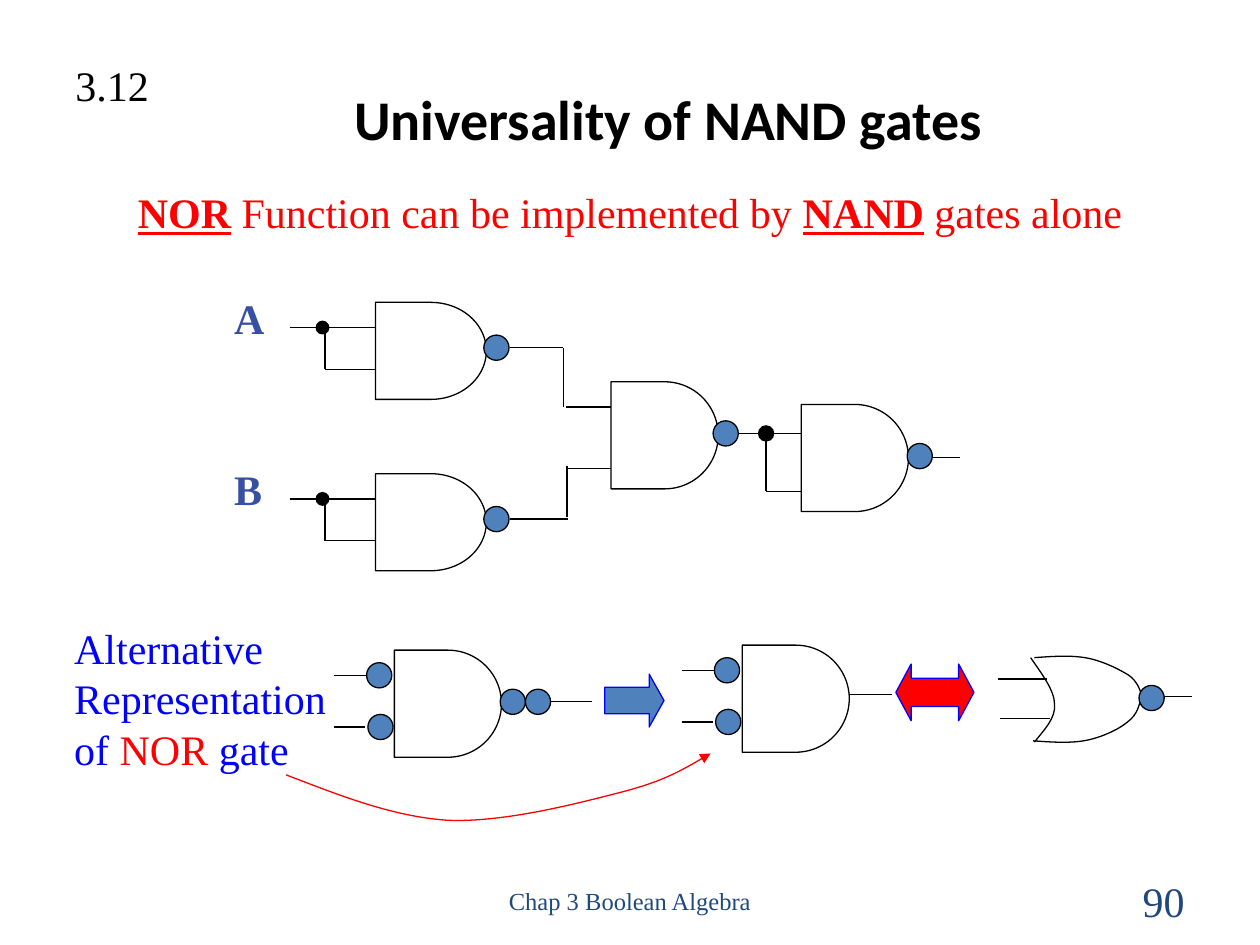
from lxml.etree import SubElement
from pptx import Presentation
from pptx.dml.color import RGBColor
from pptx.enum.shapes import MSO_CONNECTOR, MSO_SHAPE
from pptx.enum.text import MSO_ANCHOR, MSO_AUTO_SIZE, PP_ALIGN
from pptx.oxml.ns import qn
from pptx.util import Cm, Pt

BLACK, RED, BLUE, FILL, NAVY, LABEL = (
    "000000", "FF0000", "0000FF", "4F81BD", "1F497D", "3750A1")
SERIF = "Times New Roman"
BUBBLE = 0.2
GATE = 0.85

# Coordinates are in inches; unit() turns them into lengths.
TITLE = ("Universality of NAND gates", (1.06, 0.6, 8.49, 0.68))
STRONG = {"bold": True, "underline": True}
# box, runs of (text, colour, font values), paragraph values, frame values
FIT = {"auto_size": MSO_AUTO_SIZE.SHAPE_TO_FIT_TEXT}
TAG = {**FIT, "word_wrap": False}
MIDDLE = {"vertical_anchor": MSO_ANCHOR.MIDDLE}
TEXTS = [
    ((3.42, 6.95, 3.16, 0.4), [("Chap 3 Boolean Algebra", NAVY, {"size": Pt(14)})],
     {"alignment": PP_ALIGN.CENTER}, MIDDLE),
    ((7.17, 6.95, 2.33, 0.4), [("90", NAVY, {})],
     {"alignment": PP_ALIGN.RIGHT}, MIDDLE),
    ((0.5, 0.42, 0.78, 0.5), [("3.12", BLACK, {})], {}, TAG),
    ((0.49, 4.89, 2.32, 1.3),
     [("Alternative Representation of ", BLUE, {}), ("NOR", RED, {}),
      (" gate", BLUE, {})], {}, FIT),
    ((0.36, 1.51, 9.28, 0.42),
     [("NOR", RED, STRONG), (" Function can be implemented by ", RED, {}),
      ("NAND", RED, STRONG), (" gates alone", RED, {})],
     {"alignment": PP_ALIGN.CENTER, "line_spacing": 0.8}, FIT),
    ((1.76, 2.27, 0.44, 0.5), [("A", LABEL, {"bold": True})], {}, TAG),
    ((1.76, 3.63, 0.42, 0.5), [("B", LABEL, {"bold": True})], {}, TAG),
]
INVERTER_TOPS = [2.4, 3.76]
INVERTED_INPUT_GATES = [(3.13, 5.16), (5.89, 5.12)]
NAND_GATES = [(4.85, 3.03), (6.36, 3.21)]
WIRES = [
    (4.05, 2.76, 4.47, 2.76), (4.47, 2.76, 4.47, 3.23), (4.49, 3.23, 4.85, 3.23),
    (4.05, 4.12, 4.51, 4.12), (4.5, 3.7, 4.5, 4.1), (4.49, 3.72, 4.85, 3.72),
    (5.85, 3.44, 6.36, 3.44), (6.08, 3.47, 6.08, 3.9), (6.08, 3.9, 6.36, 3.9),
    (7.37, 3.63, 7.62, 3.63),
    (4.37, 5.57, 4.7, 5.57), (6.74, 5.51, 7.08, 5.51),
    (7.94, 5.7, 8.33, 5.7), (7.92, 5.39, 8.31, 5.39), (9.05, 5.53, 9.46, 5.53),
]
BUBBLES = [(5.66, 3.34), (7.2, 3.52), (3.97, 5.47), (4.17, 5.47), (9.04, 5.44)]
ARROWS = [
    (MSO_SHAPE.LEFT_RIGHT_ARROW, (7.11, 5.27, 0.62, 0.45), RED, (0.5, 0.27)),
    (MSO_SHAPE.RIGHT_ARROW, (4.8, 5.35, 0.47, 0.42), FILL, (0.5, 0.28)),
]
# Start point, then two control points and an end point for each Bezier piece
NOR_CURVES = [
    [(8.21, 5.22), (8.35, 5.21), (8.49, 5.2), (8.61, 5.22),
     (8.74, 5.24), (8.88, 5.31), (8.96, 5.36),
     (9.03, 5.41), (9.05, 5.48), (9.07, 5.54)],
    [(8.2, 5.88), (8.34, 5.89), (8.48, 5.9), (8.6, 5.88),
     (8.73, 5.86), (8.88, 5.79), (8.95, 5.73),
     (9.03, 5.67), (9.04, 5.6), (9.06, 5.53)],
    [(8.18, 5.22), (8.27, 5.35), (8.37, 5.48), (8.37, 5.59),
     (8.38, 5.7), (8.29, 5.79), (8.21, 5.89)],
]
POINTER = [(2.27, 6.15), (2.69, 6.31), (3.11, 6.48), (3.55, 6.51),
           (3.99, 6.53), (4.57, 6.38), (4.92, 6.29),
           (5.27, 6.2), (5.45, 6.09), (5.64, 5.98)]

prs = Presentation()
prs.slide_width, prs.slide_height = Cm(25.4), Cm(19.05)
s = prs.slides.add_slide(prs.slide_layouts[5])


def unit(*inches):
    return [Cm(v * 2.54) for v in inches]


def rgb(value):
    return RGBColor.from_string(value)


def assign(target, values):
    for name, value in values.items():
        setattr(target, name, value)


def outline(sp, color):
    sp.line.color.rgb = rgb(color)
    sp.line.width = Pt(0.75)


def shape(kind, box, fill=None, line=BLACK):
    sp = s.shapes.add_shape(kind, *unit(*box))
    sp.shadow.inherit = False
    if fill:
        sp.fill.solid()
        sp.fill.fore_color.rgb = rgb(fill)
    else:
        sp.fill.background()
    outline(sp, line)
    return sp


def wire(*ends):
    c = s.shapes.add_connector(MSO_CONNECTOR.STRAIGHT, *unit(*ends))
    outline(c, BLACK)
    SubElement(c._element.spPr, qn("a:effectLst"))


def gate(x, y, w=GATE, h=GATE):
    shape(MSO_SHAPE.FLOWCHART_DELAY, (x, y, w, h))


def circle(x, y, size=BUBBLE, fill=FILL):
    shape(MSO_SHAPE.OVAL, (x, y, size, size), fill)


def inverter(y):
    """NAND gate with both inputs tied together."""
    gate(2.98, y, 0.88, 0.77)
    wire(2.3, y + 0.2, 2.98, y + 0.2)
    wire(2.58, y + 0.23, 2.58, y + 0.53)
    wire(2.58, y + 0.53, 2.98, y + 0.53)
    circle(2.51, y + 0.15, 0.1, BLACK)
    circle(3.84, y + 0.26)


def inverted_input_gate(x, y):
    gate(x, y)
    for dy, line_end, bubble_x in ((0.2, 0.21, 0.22), (0.61, 0.23, 0.21)):
        wire(x - 0.48, y + dy, x - line_end, y + dy)
        circle(x - bubble_x, y + dy - BUBBLE / 2)


def curve(points, color=BLACK):
    """Open outline whose line segments are regrouped as Bezier pieces."""
    builder = s.shapes.build_freeform(*unit(*points[0]))
    builder.add_line_segments([unit(*point) for point in points[1:]], close=False)
    sp = builder.convert_to_shape()
    lines = list(sp._element.iter(qn("a:lnTo")))
    outline_path = lines[0].getparent()
    for i in range(0, len(lines), 3):
        piece = SubElement(outline_path, qn("a:cubicBezTo"))
        for line in lines[i:i + 3]:
            piece.append(line[0])
            outline_path.remove(line)
    sp.shadow.inherit = False
    sp.fill.background()
    outline(sp, color)
    return sp


title, box = TITLE
sp = s.shapes.title
assign(sp, dict(zip(("left", "top", "width", "height"), unit(*box))))
sp.text_frame.text = title
assign(sp.text_frame, MIDDLE)
p = sp.text_frame.paragraphs[0]
p.alignment = PP_ALIGN.CENTER
assign(p.font, {"name": "Calibri", "size": Pt(32), "bold": True})
p.font.color.rgb = rgb(BLACK)

for box, runs, paragraph_format, frame_format in TEXTS:
    tf = s.shapes.add_textbox(*unit(*box)).text_frame
    assign(tf, {"word_wrap": True, **frame_format})
    p = tf.paragraphs[0]
    assign(p, paragraph_format)
    for text, color, font_format in runs:
        r = p.add_run()
        r.text = text
        assign(r.font, {"name": SERIF, "size": Pt(24), **font_format})
        r.font.color.rgb = rgb(color)

for y in INVERTER_TOPS:
    inverter(y)
for corner in NAND_GATES:
    gate(*corner)
for corner in INVERTED_INPUT_GATES:
    inverted_input_gate(*corner)
for ends in WIRES:
    wire(*ends)
for points in NOR_CURVES:
    curve(points)
for corner in BUBBLES:
    circle(*corner)
circle(6.02, 3.38, 0.12, BLACK)

for kind, box, fill, adjustments in ARROWS:
    sp = shape(kind, box, fill, BLUE)
    for i, value in enumerate(adjustments):
        sp.adjustments[i] = value

pointer = curve(POINTER, RED)
SubElement(pointer.line._get_or_add_ln(), qn("a:tailEnd"), type="triangle")

prs.save("out.pptx")
